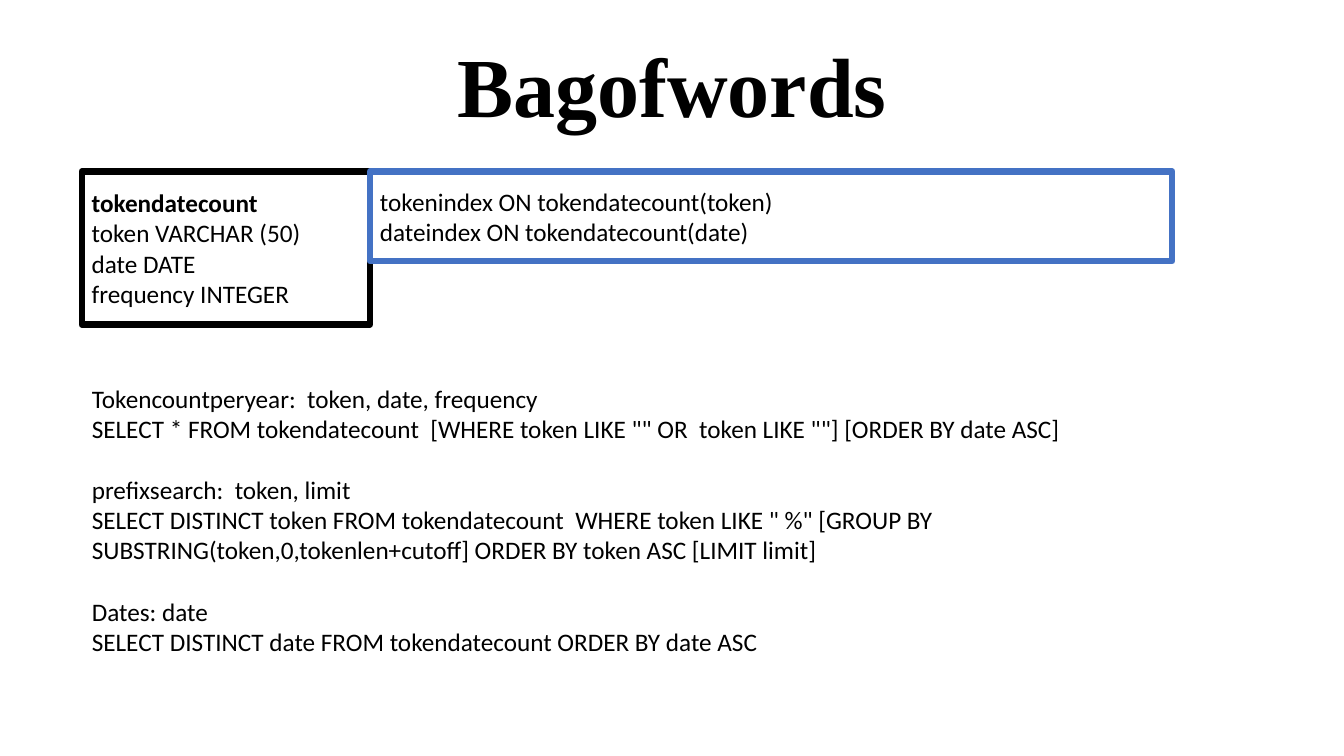
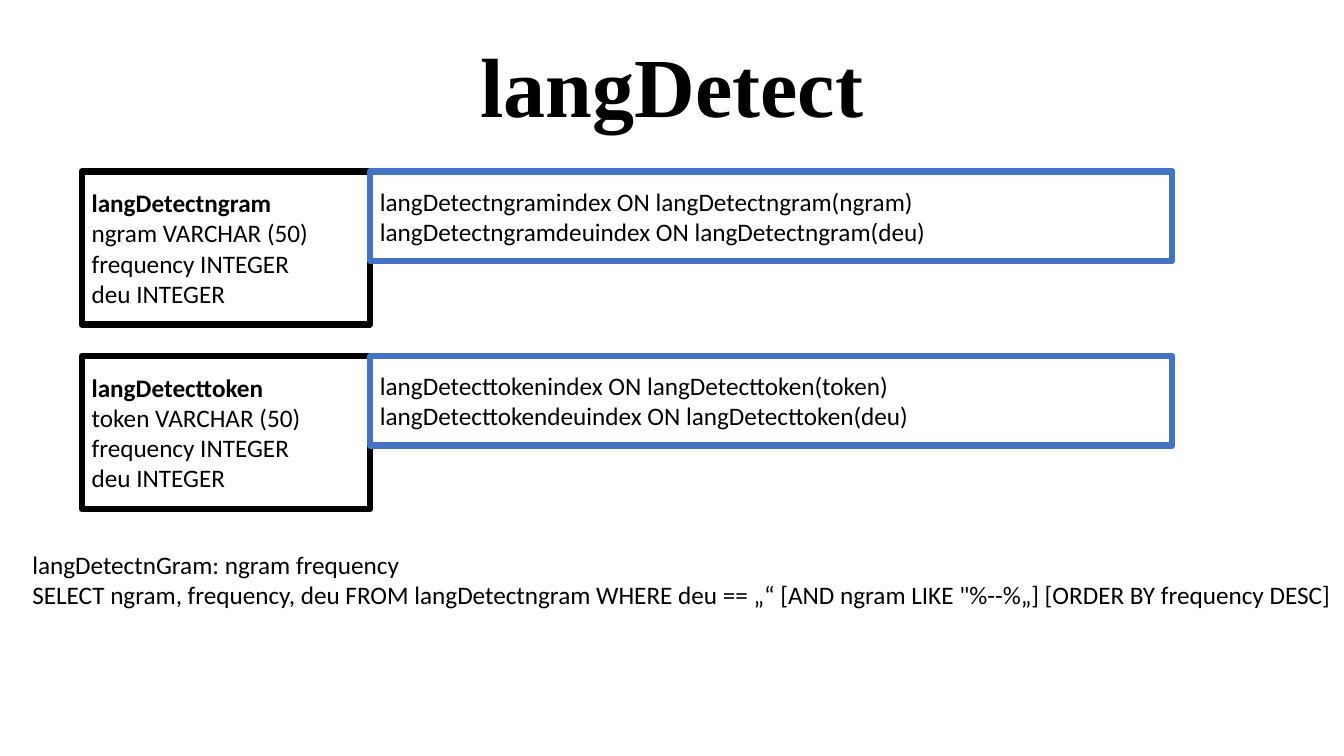
from dataclasses import dataclass

from lxml import etree
from pptx import Presentation
from pptx.dml.color import RGBColor
from pptx.enum.shapes import MSO_SHAPE
from pptx.enum.text import MSO_ANCHOR, MSO_AUTO_SIZE, PP_ALIGN
from pptx.oxml.ns import qn
from pptx.util import Inches, Pt

RECTANGLE = MSO_SHAPE.RECTANGLE
TOP, MIDDLE = MSO_ANCHOR.TOP, MSO_ANCHOR.MIDDLE
LEFT, CENTER = PP_ALIGN.LEFT, PP_ALIGN.CENTER
NO_AUTOFIT = MSO_AUTO_SIZE.NONE
TITLE_AND_CONTENT = 1
GRID = 100


@dataclass(frozen=True)
class Theme:
    """Colours, fonts and sizes shared by all slides."""
    text: RGBColor = RGBColor(0, 0, 0)
    paper: RGBColor = RGBColor(255, 255, 255)
    table_line: RGBColor = RGBColor(0, 0, 0)
    index_line: RGBColor = RGBColor(0x44, 0x72, 0xC4)
    title_font: str = "Times New Roman"
    body_font: str = "Calibri"
    title_size: Pt = Pt(60)
    body_size: Pt = Pt(18)
    line_width: Pt = Pt(4.5)
    group_gap: Pt = Pt(22)


def apply_format(target, values):
    """Set each named attribute on the target."""
    for name, value in values.items():
        setattr(target, name, value)


class SchemaDeck:
    """Draws database schema slides on a grid of 100 columns and 100 rows."""

    table_left, table_top = 6.08, 22.67
    table_width, table_height = 21.45, 20.27
    index_width, index_height = 59.7, 11.87
    table_pitch = 24.4

    def __init__(self, theme):
        self.theme = theme
        self.presentation = Presentation()
        self.presentation.slide_width = Inches(13.33)
        self.presentation.slide_height = Inches(7.5)
        self.slide = None

    def place(self, left, top, width, height):
        """Turn grid columns and rows into lengths."""
        column = self.presentation.slide_width / GRID
        row = self.presentation.slide_height / GRID
        return {"left": round(left * column), "top": round(top * row),
                "width": round(width * column), "height": round(height * row)}

    def style(self, paragraph, alignment=LEFT, space_before=Pt(0), **font):
        """Format a paragraph and its font."""
        apply_format(paragraph, {"alignment": alignment, "space_before": space_before})
        apply_format(paragraph.font, {"name": self.theme.body_font,
                                      "size": self.theme.body_size, "bold": False, **font})
        paragraph.font.color.rgb = self.theme.text

    def add_slide(self, title):
        """Start a slide with a centred title."""
        layout = self.presentation.slide_layouts[TITLE_AND_CONTENT]
        self.slide = self.presentation.slides.add_slide(layout)
        shape = self.slide.shapes.title
        apply_format(shape, self.place(5, 3.73, 90, 14.8))
        apply_format(shape.text_frame, {"text": title, "vertical_anchor": TOP,
                                        "auto_size": NO_AUTOFIT})
        self.style(shape.text_frame.paragraphs[0], CENTER, name=self.theme.title_font,
                   size=self.theme.title_size, bold=True)

    def add_box(self, lines, line_color, bounds, heading=False):
        """Draw an outlined box, with its first line bold if it is a heading."""
        shape = self.slide.shapes.add_shape(RECTANGLE, **self.place(*bounds))
        shape.shadow.inherit = False
        shape.fill.solid()
        shape.fill.fore_color.rgb = self.theme.paper
        shape.line.color.rgb = line_color
        shape.line.width = self.theme.line_width
        apply_format(shape.text_frame, {"text": "\n".join(lines), "word_wrap": True,
                                        "vertical_anchor": MIDDLE})
        for number, paragraph in enumerate(shape.text_frame.paragraphs):
            self.style(paragraph, bold=heading and number == 0)

    def add_tables(self, tables):
        """Stack database tables, each with its indexes on the right."""
        for number, (fields, indexes) in enumerate(tables):
            top = self.table_top + number * self.table_pitch
            self.add_box(fields, self.theme.table_line,
                         (self.table_left, top, self.table_width, self.table_height), True)
            self.add_box(indexes, self.theme.index_line,
                         (self.table_left + self.table_width, top,
                          self.index_width, self.index_height))

    def add_queries(self, groups, bounds):
        """Fill the body placeholder with groups of query lines."""
        shape = self.slide.placeholders[1]
        apply_format(shape, self.place(*bounds))
        frame = shape.text_frame
        lines = [(line, number > 0 and position == 0)
                 for number, group in enumerate(groups)
                 for position, line in enumerate(group)]
        apply_format(frame, {"text": "\n".join(line for line, _ in lines),
                             "vertical_anchor": TOP, "auto_size": NO_AUTOFIT})
        for paragraph, (_, starts_group) in zip(frame.paragraphs, lines):
            properties = paragraph._p.get_or_add_pPr()
            properties.set("marL", "0")
            properties.set("indent", "0")
            etree.SubElement(properties, qn("a:buNone"))
            self.style(paragraph,
                       space_before=self.theme.group_gap if starts_group else Pt(0))


def main():
    """Build and save the presentation."""
    deck = SchemaDeck(Theme())

    deck.add_slide("Bagofwords")
    deck.add_tables([
        (["tokendatecount", "token VARCHAR (50)", "date DATE", "frequency INTEGER"],
         ["tokenindex ON tokendatecount(token)", "dateindex ON tokendatecount(date)"]),
    ])
    deck.add_queries([
        ["Tokencountperyear:  token, date, frequency",
         'SELECT * FROM tokendatecount  [WHERE token LIKE "" OR  token LIKE ""] '
         "[ORDER BY date ASC]"],
        ["prefixsearch:  token, limit",
         'SELECT DISTINCT token FROM tokendatecount  WHERE token LIKE " %" [GROUP BY '
         "SUBSTRING(token,0,tokenlen+cutoff] ORDER BY token ASC [LIMIT limit]"],
        ["Dates: date", "SELECT DISTINCT date FROM tokendatecount ORDER BY date ASC"],
    ], (deck.table_left, 50, 90.15, 37.73))

    deck.add_slide("langDetect")
    deck.add_tables([
        ([f"langDetect{key}", f"{key} VARCHAR (50)", "frequency INTEGER", "deu INTEGER"],
         [f"langDetect{key}index ON langDetect{key}({key})",
          f"langDetect{key}deuindex ON langDetect{key}(deu)"])
        for key in ("ngram", "token")
    ])
    deck.add_queries([
        ["langDetectnGram: ngram frequency",
         "SELECT ngram, frequency, deu FROM langDetectngram WHERE deu == „“ "
         '[AND ngram LIKE "%--%„] [ORDER BY frequency DESC]'],
    ], (1.65, 72, 98.35, 9.47))

    deck.presentation.save("out.pptx")


if __name__ == "__main__":
    main()
